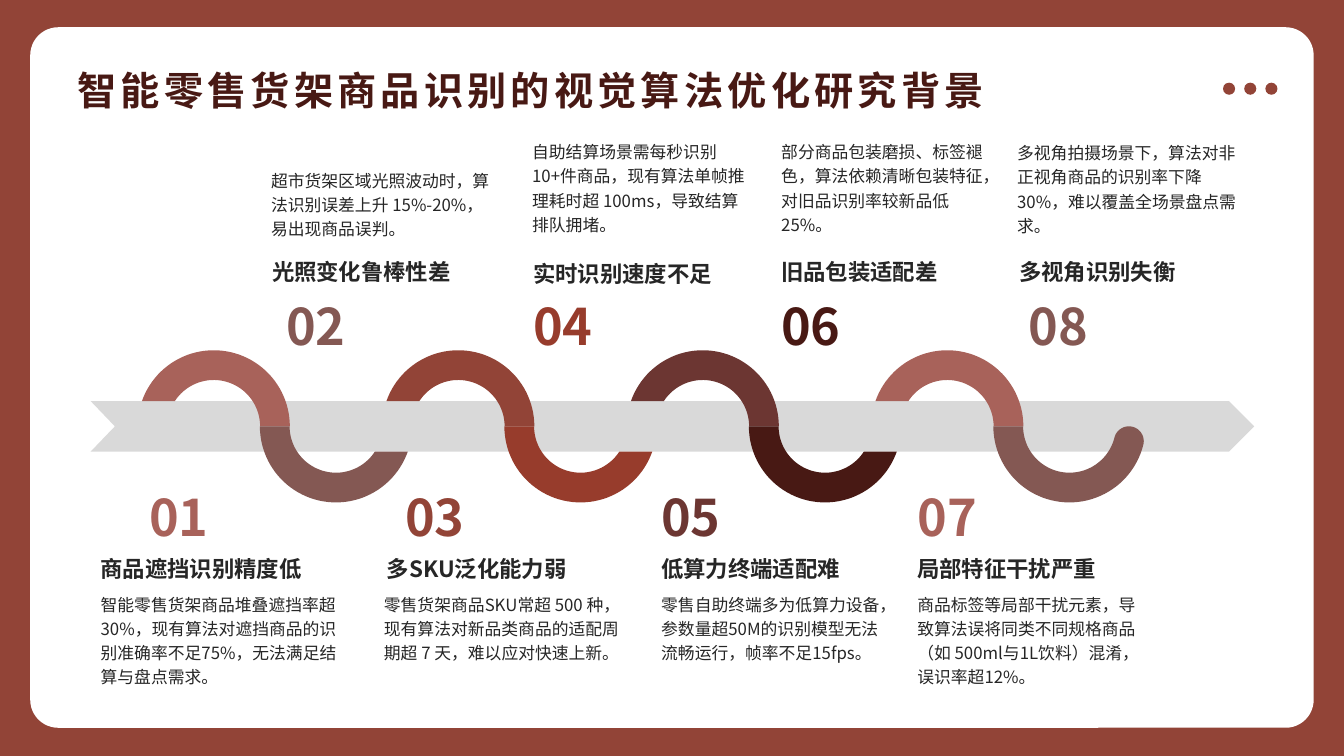
import math
from dataclasses import dataclass
from typing import Any

import pptx
import pptx.dml.color
import pptx.enum.shapes
import pptx.enum.text
import pptx.oxml
import pptx.oxml.ns
import pptx.util

RGBColor = pptx.dml.color.RGBColor
SHAPE = pptx.enum.shapes.MSO_SHAPE
ANCHOR = pptx.enum.text.MSO_ANCHOR

PX = 9144
FONT = "Noto Sans CJK SC"
BRICK = RGBColor(0x92, 0x44, 0x37)
WHITE = RGBColor(0xFF, 0xFF, 0xFF)
GREY = RGBColor(0xD9, 0xD9, 0xD9)
INK = RGBColor(0x26, 0x26, 0x26)
ROSE = RGBColor(0xA8, 0x62, 0x5A)
MAUVE = RGBColor(0x84, 0x58, 0x53)
RUST = RGBColor(0x97, 0x3C, 0x2C)
PLUM = RGBColor(0x6C, 0x36, 0x32)
MAROON = RGBColor(0x48, 0x19, 0x14)

WAVE_LEFT, WAVE_Y, WAVE_PITCH = 212, 423, 121.25
OUTER, INNER, BAR_HALF = 75.5, 46, 25
MIDDLE, CAP = (OUTER + INNER) / 2, (OUTER - INNER) / 2

TITLE_FORMAT = {"size": pptx.util.Pt(28), "bold": True}
NUMBER_FORMAT = {"size": pptx.util.Pt(36), "bold": True}
HEADING_FORMAT = {"size": pptx.util.Pt(16), "bold": True}
BODY_FORMAT = {"size": pptx.util.Pt(12), "bold": False}

Point = tuple[float, float]


@dataclass(frozen=True)
class Box:
    left: int
    top: int
    width: int
    height: int

    def emu(self) -> list[int]:
        return [n * PX for n in (self.left, self.top, self.width, self.height)]


@dataclass(frozen=True)
class Issue:
    color: RGBColor
    number_left: int
    heading: str
    heading_box: Box
    body: str
    body_box: Box


ISSUES = [
    Issue(ROSE, 138, "商品遮挡识别精度低", Box(90, 546, 234, 37),
          "智能零售货架商品堆叠遮挡率超30%，现有算法对遮挡商品的识别准确率不足75%，无法满足结算与盘点需求。",
          Box(90, 581, 258, 107)),
    Issue(MAUVE, 274, "光照变化鲁棒性差", Box(260, 251, 200, 37),
          "超市货架区域光照波动时，算法识别误差上升 15%-20%，易出现商品误判。",
          Box(259, 160, 243, 92)),
    Issue(BRICK, 392, "多SKU泛化能力弱", Box(374, 546, 234, 37),
          "零售货架商品SKU常超 500 种，现有算法对新品类商品的适配周期超 7 天，难以应对快速上新。",
          Box(371, 581, 254, 83)),
    Issue(RUST, 519, "实时识别速度不足", Box(519, 253, 210, 37),
          "自助结算场景需每秒识别10+件商品，现有算法单帧推理耗时超 100ms，导致结算排队拥堵。",
          Box(518, 132, 237, 119)),
    Issue(PLUM, 646, "低算力终端适配难", Box(646, 546, 222, 37),
          "零售自助终端多为低算力设备，参数量超50M的识别模型无法流畅运行，帧率不足15fps。",
          Box(646, 581, 237, 83)),
    Issue(MAROON, 765, "旧品包装适配差", Box(765, 251, 179, 37),
          "部分商品包装磨损、标签褪色，算法依赖清晰包装特征，对旧品识别率较新品低 25%。",
          Box(765, 132, 225, 83)),
    Issue(ROSE, 900, "局部特征干扰严重", Box(900, 546, 234, 37),
          "商品标签等局部干扰元素，导致算法误将同类不同规格商品（如 500ml与1L饮料）混淆，误识率超12%。",
          Box(900, 581, 250, 107)),
    Issue(MAUVE, 1010, "多视角识别失衡", Box(1001, 251, 179, 37),
          "多视角拍摄场景下，算法对非正视角商品的识别率下降30%，难以覆盖全场景盘点需求。",
          Box(999, 133, 244, 83)),
]


def paint(shape: Any, color: RGBColor) -> None:
    shape.shadow.inherit = False
    shape.fill.solid()
    shape.fill.fore_color.rgb = color
    shape.line.fill.background()


def add_preset(page: Any, kind: Any, box: Box, color: RGBColor) -> Any:
    shape = page.shapes.add_shape(kind, *box.emu())
    paint(shape, color)
    return shape


def add_outline(page: Any, points: list[Point], color: RGBColor) -> None:
    corners = [(x * PX, y * PX) for x, y in points]
    builder = page.shapes.build_freeform(*corners[0], scale=1.0)
    builder.add_line_segments(corners[1:], close=True)
    paint(builder.convert_to_shape(), color)


def add_text(page: Any, box: Box, text: str, color: RGBColor,
             formats: dict[str, Any], spacing: float = 1.0) -> Any:
    frame = page.shapes.add_textbox(*box.emu()).text_frame
    frame.word_wrap = True
    para = frame.paragraphs[0]
    para.line_spacing = spacing
    span = para.add_run()
    span.text = text
    for name, value in {**formats, "name": FONT}.items():
        setattr(span.font, name, value)
    span.font.color.rgb = color
    asian = pptx.oxml.parse_xml(
        f'<a:ea {pptx.oxml.ns.nsdecls("a")} typeface="{FONT}"/>')
    span.font._element.append(asian)
    return frame


def arc(radius: float, start: float, end: float) -> list[Point]:
    steps = 48
    angles = [start + (end - start) * i / steps for i in range(steps + 1)]
    return [(radius * math.cos(a), radius * math.sin(a)) for a in angles]


def wave_points(index: int) -> list[Point]:
    if index == len(ISSUES) - 1:
        tip = math.asin(CAP / MIDDLE)
        tip_x, tip_y = MIDDLE * math.cos(tip), MIDDLE * math.sin(tip)
        cap = [(tip_x + x, tip_y + y) for x, y in arc(CAP, tip, tip - math.pi)]
        points = arc(OUTER, math.pi, tip) + cap + arc(INNER, tip, math.pi)
    else:
        points = (arc(OUTER, math.pi, math.asin(BAR_HALF / OUTER))
                  + arc(INNER, math.asin(BAR_HALF / INNER), math.pi))
    turn = 1 if index % 2 else -1
    center = WAVE_LEFT + index * WAVE_PITCH
    return [(center + turn * x, WAVE_Y + turn * y) for x, y in points]


def add_issue(page: Any, index: int, issue: Issue) -> None:
    number_box = (Box(issue.number_left, 288, 179, 74) if index % 2
                  else Box(issue.number_left, 477, 179, 59))
    add_text(page, number_box, f"{index + 1:02}", issue.color, NUMBER_FORMAT)
    add_text(page, issue.heading_box, issue.heading, INK, HEADING_FORMAT)
    add_text(page, issue.body_box, issue.body, INK, BODY_FORMAT, 1.2)


def main() -> None:
    deck = pptx.Presentation()
    deck.slide_width, deck.slide_height = 1333 * PX, 750 * PX
    page = deck.slides.add_slide(deck.slide_layouts[6])
    page.background.fill.solid()
    page.background.fill.fore_color.rgb = BRICK

    card = add_preset(page, SHAPE.ROUNDED_RECTANGLE, Box(30, 27, 1273, 695), WHITE)
    card.adjustments[0] = 0.04
    for i in range(3):
        add_preset(page, SHAPE.OVAL, Box(1213 + 21 * i, 82, 12, 12), BRICK)

    title = add_text(page, Box(67, 51, 1200, 77),
                     "智能零售货架商品识别的视觉算法优化研究背景", MAROON, TITLE_FORMAT)
    title.vertical_anchor = ANCHOR.MIDDLE
    title.paragraphs[0].runs[0].font._element.set("spc", "300")

    top, bottom = WAVE_Y - BAR_HALF, WAVE_Y + BAR_HALF
    add_outline(page, [(90, top), (1219, top), (1244, WAVE_Y), (1219, bottom),
                       (90, bottom), (114, WAVE_Y)], GREY)
    for index, issue in enumerate(ISSUES):
        add_outline(page, wave_points(index), issue.color)
        add_issue(page, index, issue)

    deck.save("out.pptx")


if __name__ == "__main__":
    main()
